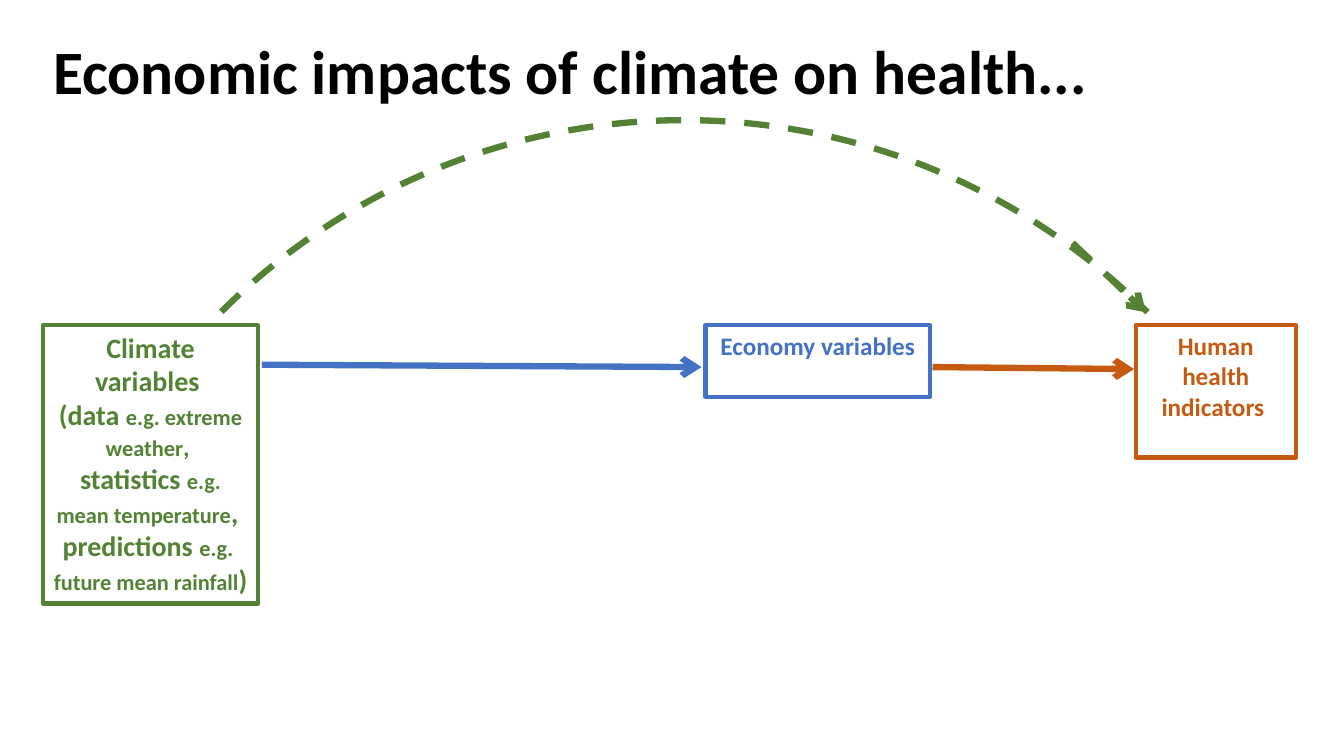
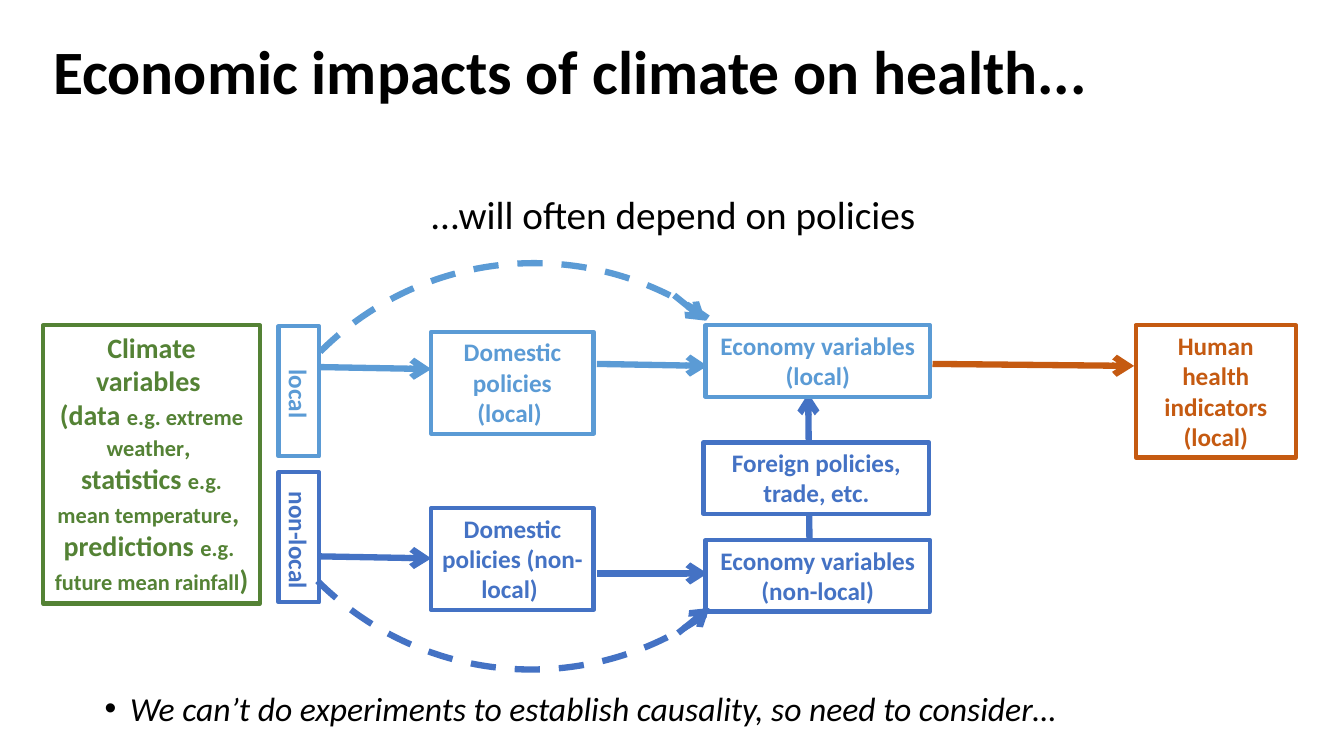
from dataclasses import dataclass
from lxml.etree import SubElement
from pptx import Presentation
from pptx.dml.color import RGBColor
from pptx.enum.dml import MSO_LINE
from pptx.enum.shapes import MSO_CONNECTOR, MSO_SHAPE
from pptx.enum.text import MSO_ANCHOR, PP_ALIGN
from pptx.oxml.ns import qn
from pptx.util import Cm, Pt


@dataclass(frozen=True)
class Theme:
    font: str = "Calibri"
    black: str = "000000"
    white: str = "FFFFFF"
    green: str = "548235"
    blue: str = "4472C4"
    sky: str = "5B9BD5"
    rust: str = "C55A11"
    title: int = 44
    lead: int = 28
    note: int = 24
    head: int = 20
    label: int = 18
    small: int = 16
    frame: float = 3
    stroke: float = 4.5


T = Theme()
TITLE = "Economic impacts of climate on health..."
CLIMATE = [
    [("Climate variables\u00a0", T.head)],
    [("(data ", T.head), ("e.g. extreme weather", T.small), (",\u00a0", T.label)],
    [("statistics ", T.head), ("e.g. mean temperature", T.small), (",\u00a0", T.head)],
    [("predictions\u00a0", T.head), ("e.g.\u00a0", T.small)],
    [("future mean rainfall", T.small), (")", T.head)],
]
ROW = 8.2
ECON = (17.78, 5.66, 1.8)


def color(code):
    return RGBColor.from_string(code)


def add_run(para, text, size, ink, bold=False, slant=False):
    run = para.add_run()
    run.text = text
    font = run.font
    font.name, font.size = T.font, Pt(size)
    font.bold, font.italic = bold, slant
    font.color.rgb = color(ink)


def add_text(slide, place, text, size, align=PP_ALIGN.LEFT, before=0,
             anchor=MSO_ANCHOR.TOP, **style):
    frame = slide.shapes.add_textbox(*map(Cm, place)).text_frame
    frame.word_wrap = True
    frame.vertical_anchor = anchor
    para = frame.paragraphs[0]
    para.alignment = align
    para.line_spacing = 0.9
    para.space_before = Pt(before)
    add_run(para, text, size, T.black, **style)
    return para


def add_bullet(para):
    props = para._p.get_or_add_pPr()
    props.set("marL", str(Cm(0.64)))
    props.set("indent", str(-Cm(0.64)))
    SubElement(props, qn("a:buFont"), typeface="Arial")
    SubElement(props, qn("a:buChar"), char="\u2022")


def draw_line(line, ink, width, dash=False):
    line.color.rgb = color(ink)
    line.width = Pt(width)
    if dash:
        line.dash_style = MSO_LINE.DASH


def add_box(slide, place, ink, paras, turn=0):
    box = slide.shapes.add_shape(MSO_SHAPE.RECTANGLE, *map(Cm, place))
    box.shadow.inherit = False
    box.rotation = turn
    box.fill.solid()
    box.fill.fore_color.rgb = color(T.white)
    draw_line(box.line, ink, T.frame)
    frame = box.text_frame
    frame.word_wrap = True
    frame.vertical_anchor = MSO_ANCHOR.TOP
    for i, runs in enumerate(paras):
        para = frame.add_paragraph() if i else frame.paragraphs[0]
        para.alignment = PP_ALIGN.CENTER
        for text, size in runs:
            add_run(para, text, size, ink, bold=True)


def add_label(slide, place, ink, text, turn=0):
    add_box(slide, place, ink, [[(text, T.label)]], turn)


def add_arrow(slide, start, end, ink, dash=False):
    link = slide.shapes.add_connector(
        MSO_CONNECTOR.STRAIGHT, *map(Cm, start + end))
    draw_line(link.line, ink, T.stroke, dash)
    props = link.element.spPr
    SubElement(props.get_or_add_ln(), qn("a:tailEnd"), type="arrow")
    SubElement(props, qn("a:effectLst"))


def add_arc(slide, place, ink, turn, flip=False):
    arc = slide.shapes.add_shape(MSO_SHAPE.ARC, *map(Cm, place))
    arc.shadow.inherit = False
    arc.rotation = turn
    arc.fill.background()
    draw_line(arc.line, ink, T.stroke, dash=True)
    if flip:
        arc.element.spPr.find(qn("a:xfrm")).set("flipV", "1")


def add_econ(slide, top, ink, text):
    left, width, height = ECON
    add_label(slide, (left, top, width, height), ink, text)


def add_health(slide, text):
    add_label(slide, (28.62, ROW, 4.04, 3.33), T.rust, text)


def start_slide(deck, width):
    slide = deck.slides.add_slide(deck.slide_layouts[6])
    add_text(slide, (1.09, 0.03, 29.21, 3.68), TITLE, T.title,
             anchor=MSO_ANCHOR.MIDDLE, bold=True)
    add_box(slide, (1.09, ROW, width, 7.01), T.green, CLIMATE)
    return slide


def build_direct(deck):
    slide = start_slide(deck, 5.41)
    add_arrow(slide, (6.6, 9.19), (17.68, 9.25), T.blue)
    add_arrow(slide, (23.5, 9.25), (28.58, 9.3), T.rust)
    add_health(slide, "Human health indicators ")
    add_econ(slide, ROW, T.blue, "Economy variables")
    add_arc(slide, (0.76, 3.02, 32.99, 33.02), T.green, 315)
    add_arrow(slide, (27.03, 6.12), (28.88, 7.87), T.green, dash=True)


def build_policy(deck):
    slide = start_slide(deck, 5.46)
    note = add_text(
        slide, (2.39, 17.32, 29.13, 1.37),
        "We can\u2019t do experiments to establish causality, so need to consider\u2026",
        T.note, before=10, slant=True)
    add_bullet(note)
    add_arrow(slide, (20.4, 13.69), (20.37, 9.91), T.blue)
    add_arrow(slide, (23.5, 9.17), (28.58, 9.22), T.rust)
    lanes = [
        (T.sky, "local", 9.35, 8.36, 9.25, (9.17, 9.22)),
        (T.blue, "non-local", 13.03, 12.8, 14.02, (14.45, 14.45)),
    ]
    for ink, name, tab, top, entry, (rise, fall) in lanes:
        add_label(slide, (5.89, tab, 3.28, 1.02), ink, f"\u00a0{name}", 90)
        add_label(slide, (10.87, top, 4.09, 2.57), ink,
                  f"Domestic policies ({name})\u00a0")
        add_arrow(slide, (8.08, entry), (10.87, entry + 0.05), ink)
        add_arrow(slide, (15.04, rise), (17.83, fall), ink)
    add_label(slide, (17.73, 11.15, 5.69, 1.8), T.blue,
              "Foreign policies, trade, etc.")
    add_health(slide, "Human health indicators (local)")
    add_arc(slide, (5.77, 1.63, 15.24, 15.24), T.blue, 45, flip=True)
    add_arc(slide, (5.84, 6.63, 15.24, 15.24), T.sky, 315)
    add_econ(slide, ROW, T.sky, "Economy variables (local)")
    add_econ(slide, 13.61, T.blue, "Economy variables (non-local)")
    add_arrow(slide, (16.99, 7.44), (17.78, 8.08), T.sky)
    add_arrow(slide, (17.09, 15.95), (17.88, 15.32), T.blue)
    add_text(slide, (2.39, 4.8, 29.13, 1.37), "...will often depend on policies",
             T.lead, align=PP_ALIGN.CENTER, before=10)


def main():
    deck = Presentation()
    deck.slide_width, deck.slide_height = Cm(33.87), Cm(19.05)
    build_direct(deck)
    build_policy(deck)
    deck.save("out.pptx")


main()
